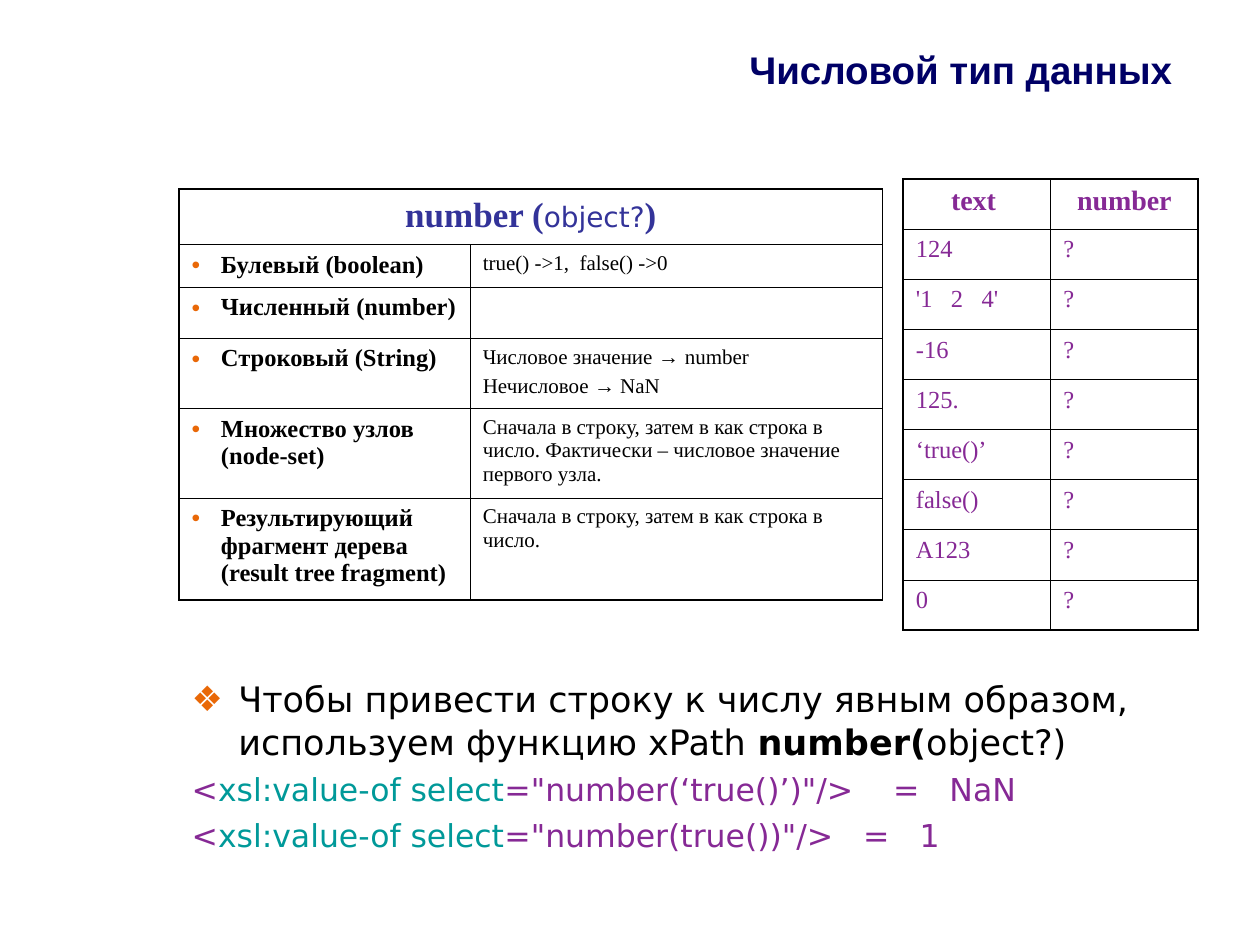
from lxml.etree import SubElement
from pptx import Presentation
from pptx.dml.color import RGBColor
from pptx.enum.text import MSO_ANCHOR, MSO_AUTO_SIZE, PP_ALIGN
from pptx.oxml.ns import qn
from pptx.util import Cm, Pt

SERIF, SANS, ARIAL = "Times New Roman", "DejaVu Sans", "Arial"
BLACK, NAVY, INDIGO = "000000", "000066", "333399"
PURPLE, TEAL, ORANGE = "862995", "009999", "E96807"


def color(hex_string):
    return RGBColor.from_string(hex_string)


def style(font, size=None, name=None, ink=None, bold=None):
    if size:
        font.size = Pt(size)
    if name:
        font.name = name
    if ink:
        font.color.rgb = color(ink)
    if bold is not None:
        font.bold = bold


def set_bullet(paragraph, mark, indent):
    """Give a hanging indent, with a coloured mark or with none."""
    properties = paragraph._p.get_or_add_pPr()
    properties.set("marL", str(indent))
    properties.set("indent", str(-indent))
    if mark:
        mark_color = SubElement(properties, qn("a:buClr"))
        SubElement(mark_color, qn("a:srgbClr"), val=ORANGE)
        SubElement(properties, qn("a:buFont"), typeface=ARIAL)
        SubElement(properties, qn("a:buChar"), char=mark)
    else:
        SubElement(properties, qn("a:buNone"))


def write(frame, lines, before, font, align=None, spacing=None, mark=None, indent=None):
    """Each line is a list of (text, font changes) pairs."""
    for number, line in enumerate(lines):
        paragraph = frame.paragraphs[0] if number == 0 else frame.add_paragraph()
        paragraph.space_before = Pt(before)
        if spacing:
            paragraph.line_spacing = spacing
        if align:
            paragraph.alignment = align
        if indent:
            set_bullet(paragraph, mark, indent)
        style(paragraph.font, **font)
        for text, changes in line:
            run = paragraph.add_run()
            run.text = text
            style(run.font, **changes)


def add_grid(slide, left, top, widths, heights):
    """Unfilled table with a thick frame and thin inner rules."""
    grid = slide.shapes.add_table(
        len(heights), len(widths), left, top, sum(widths), sum(heights)).table
    grid.first_row = grid.horz_banding = False
    for column, width in zip(grid.columns, widths):
        column.width = width
    for row, height in zip(grid.rows, heights):
        row.height = height
    for r in range(len(heights)):
        for c in range(len(widths)):
            cell = grid.cell(r, c)
            outer = {"a:lnL": c == 0, "a:lnR": c == len(widths) - 1,
                     "a:lnT": r == 0, "a:lnB": r == len(heights) - 1}
            for tag, is_outer in outer.items():
                rule = SubElement(cell._tc.get_or_add_tcPr(), qn(tag),
                                  w=str(Pt(1.08 if is_outer else 0.45)))
                fill = SubElement(rule, qn("a:solidFill"))
                SubElement(fill, qn("a:srgbClr"), val=BLACK)
            cell.fill.background()
    return grid


def place(placeholder, left, top, width, height):
    placeholder.left, placeholder.top = left, top
    placeholder.width, placeholder.height = width, height
    placeholder.text_frame.auto_size = MSO_AUTO_SIZE.NONE


def fill_title(slide, left, top, width, height):
    title = slide.shapes.title
    place(title, left, top, width, height)
    title.text_frame.vertical_anchor = MSO_ANCHOR.MIDDLE
    write(title.text_frame, [[("Числовой тип данных", {})]], 0,
          dict(size=22, name=ARIAL, ink=NAVY, bold=True), PP_ALIGN.CENTER)


def fill_explanation(slide, left, top, width, height):
    explanation = slide.placeholders[1]
    place(explanation, left, top, width, height)
    frame = explanation.text_frame
    hanging = Cm(0.94)
    write(frame, [[
        ("Чтобы привести строку к числу явным образом, используем функцию xPath ", {}),
        ("number(", dict(bold=True)),
        ("object?)", {}),
    ]], 5, dict(size=20, name=SANS, ink=BLACK), mark="❖", indent=hanging)

    # Code samples and their results
    for sample in ('="number(‘true()’)"/>    =   NaN', '="number(true())"/>   =   1'):
        paragraph = frame.add_paragraph()
        paragraph.space_before = Pt(4.5)
        set_bullet(paragraph, None, hanging)
        style(paragraph.font, size=18, name=SANS)
        for text, ink in (("<", PURPLE), ("xsl:value-of select", TEAL), (sample, PURPLE)):
            run = paragraph.add_run()
            run.text = text
            style(run.font, ink=ink)


def add_conversion_rules(slide, left, top):
    heights = [Cm(h) for h in (1.12, 0.86, 0.99, 1.42, 1.8, 2.06)]
    grid = add_grid(slide, left, top, [Cm(5.87), Cm(8.31)], heights)

    # Function signature over both columns
    grid.cell(0, 0).merge(grid.cell(0, 1))
    write(grid.cell(0, 0).text_frame, [[
        ("number (", dict(size=20, name=SERIF, bold=True)),
        ("object?", dict(size=16, name=SANS, bold=False)),
        (")", dict(size=20, name=SERIF, bold=True)),
    ]], 5, dict(ink=INDIGO), PP_ALIGN.CENTER, 1.02)

    # Source types and their rules
    plain, arrow = dict(name=SERIF), dict(name=ARIAL)
    rules = [
        ("Булевый (boolean)", [[("true() ->1,  false() ->0", plain)]]),
        ("Численный (number)", []),
        ("Строковый (String)", [
            [("Числовое значение ", plain), ("→ ", arrow), ("number", plain)],
            [("Нечисловое ", plain), ("→", arrow), (" NaN", plain)]]),
        ("Множество узлов (node-set)", [[
            ("Cначала в строку, затем в как строка в число. "
             "Фактически – числовое значение первого узла.", plain)]]),
        ("Результирующий фрагмент дерева (result tree fragment)", [[
            ("Cначала в строку, затем в как строка в число.", plain)]]),
    ]
    for r, (source_type, rule) in enumerate(rules, 1):
        write(grid.cell(r, 0).text_frame, [[(source_type, {})]], 3.5,
              dict(size=14, name=SERIF, ink=BLACK, bold=True),
              spacing=1.02, mark="•", indent=Cm(0.59))
        write(grid.cell(r, 1).text_frame, rule, 3,
              dict(size=12, ink=BLACK, bold=False), spacing=1.02)


def add_quiz(slide, left, top):
    values = ["124", "'1   2   4'", "-16", "125.", "‘true()’", "false()", "A123", "0"]
    rows = [("text ", "number")] + [(value, "?") for value in values]
    grid = add_grid(slide, left, top, [Cm(2.97)] * 2, [Cm(1.01)] * len(rows))
    for r, row in enumerate(rows):
        header = r == 0
        for c, text in enumerate(row):
            write(grid.cell(r, c).text_frame, [[(text, {})]], 4 if header else 3.5,
                  dict(size=16 if header else 14, name=SERIF, ink=PURPLE, bold=header),
                  PP_ALIGN.CENTER if header else None, 1.02)


def main():
    presentation = Presentation()
    presentation.slide_width, presentation.slide_height = Cm(25.4), Cm(19.05)
    slide = presentation.slides.add_slide(presentation.slide_layouts[1])
    fill_title(slide, Cm(13.34), Cm(-0.2), Cm(12.06), Cm(3.18))
    fill_explanation(slide, Cm(3.61), Cm(13.54), Cm(20.52), Cm(4.01))
    add_conversion_rules(slide, Cm(3.61), Cm(3.81))
    add_quiz(slide, Cm(18.21), Cm(3.61))
    presentation.save("out.pptx")


if __name__ == "__main__":
    main()
